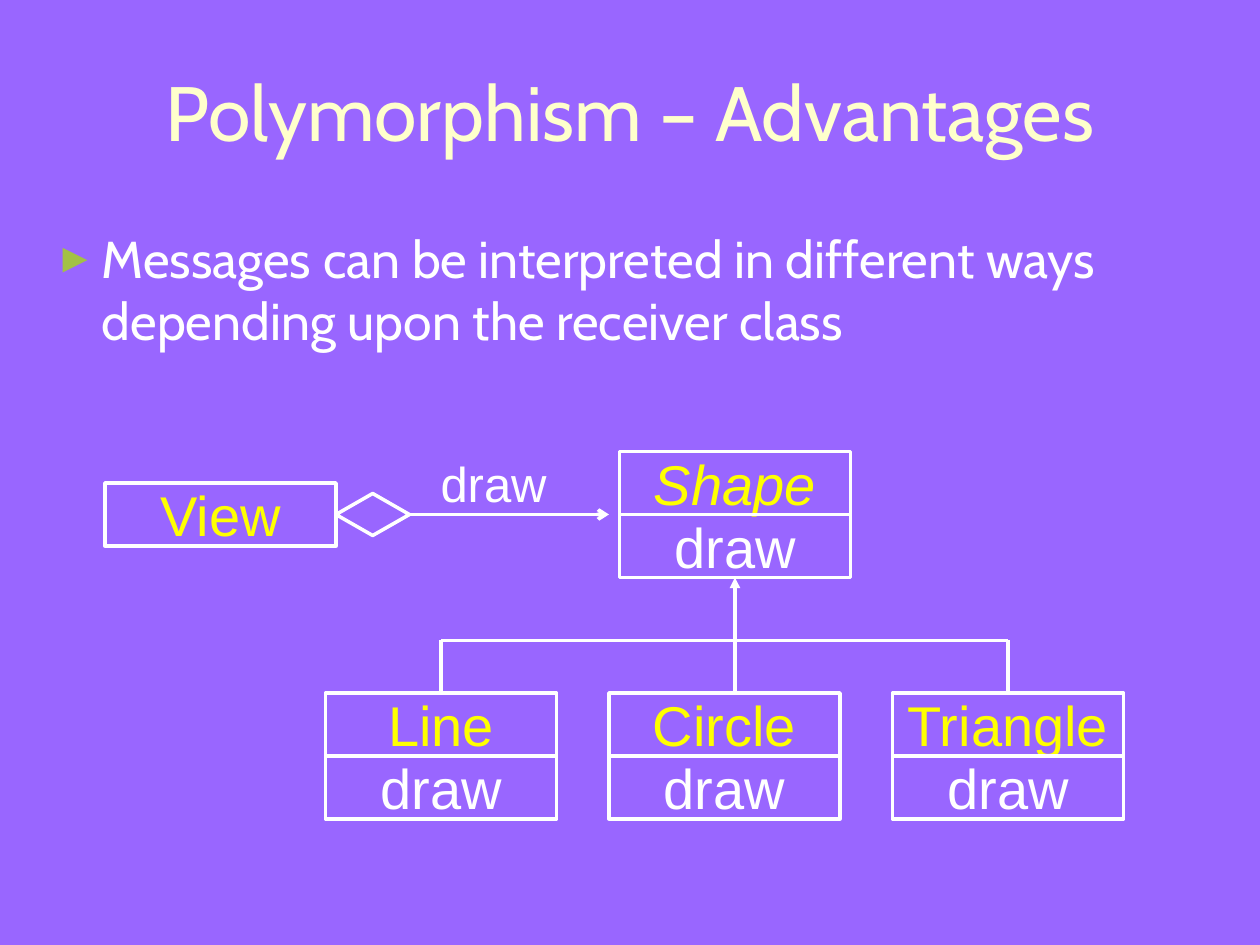
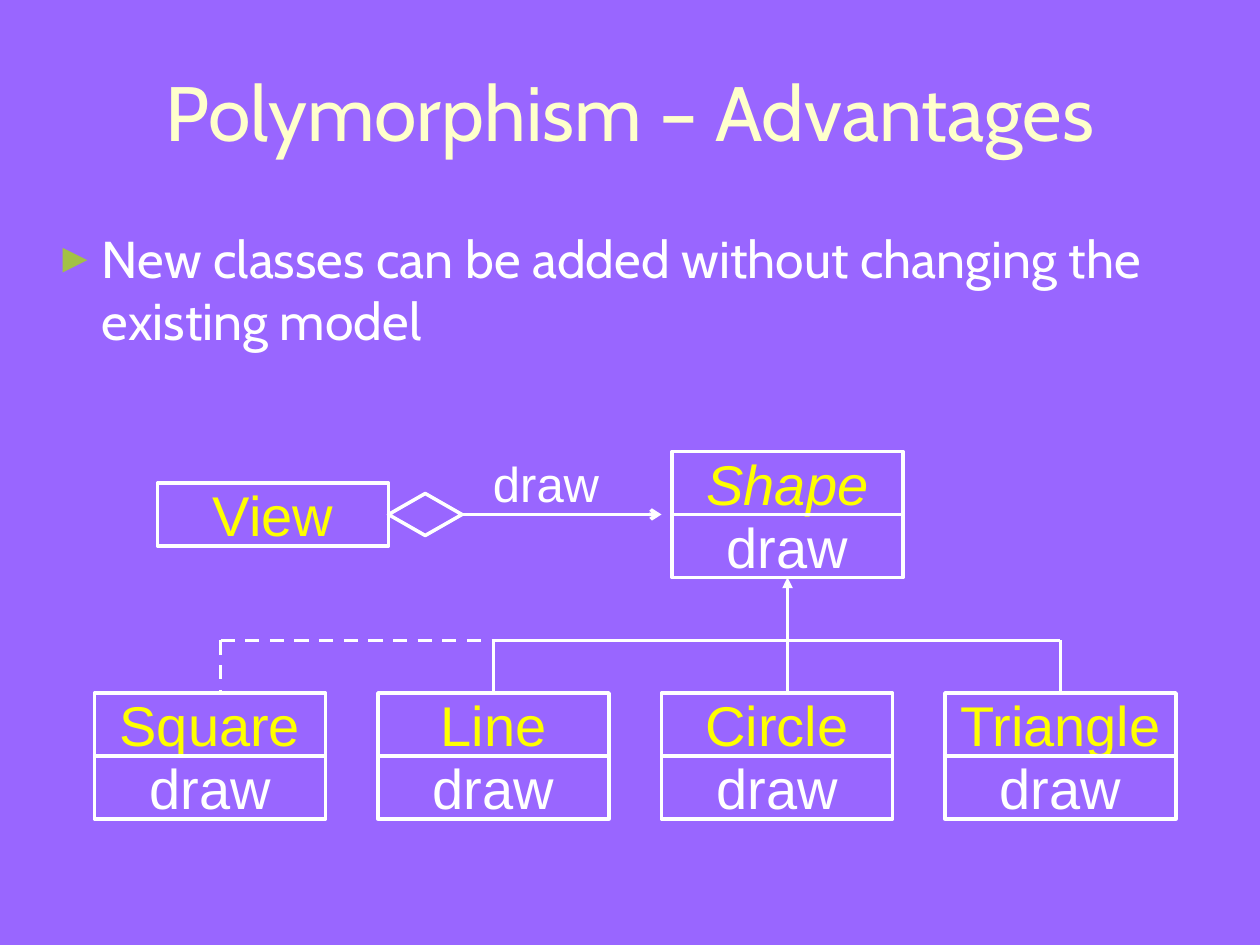
import dataclasses
import typing

import lxml.etree
import pptx
import pptx.dml.color
import pptx.enum.dml
import pptx.enum.shapes
import pptx.enum.text
import pptx.oxml.ns
import pptx.util

Pt = pptx.util.Pt

BACKGROUND = "9966FF"
TITLE_COLOR = "FFFFCC"
WHITE = "FFFFFF"
NAME_COLOR = "FFFF00"
BULLET_COLOR = "A3C145"
HEADING_FONT = "Cabin"
DIAGRAM_FONT = "Arial"

LINE_WIDTH = 2
BOX_WIDTH = 132
BOX_HEIGHT = 36
HALF_BOX = BOX_WIDTH / 2
SUBCLASS_LEFT = 186
SUBCLASS_TOP = 396
SUBCLASS_PITCH = 162
BRANCH_Y = 366
SHAPE_TOP = 258
ASSOCIATION_Y = SHAPE_TOP + BOX_HEIGHT
DIAMOND_LENGTH = 42
DIAMOND_BREADTH = 24


class Point(typing.NamedTuple):
    x: float
    y: float


@dataclasses.dataclass(frozen=True)
class ClassBox:
    name: str
    left: float
    top: float
    operation: str = "draw"
    italic: bool = False


@dataclasses.dataclass(frozen=True)
class DiagramSlide:
    message: str
    shift: float = 0
    added_class: str = ""


SLIDES = [
    DiagramSlide("Messages can be interpreted in different ways depending upon the receiver class"),
    DiagramSlide("New classes can be added without changing the existing model", 30, "Square"),
]


def rgb(color: str) -> pptx.dml.color.RGBColor:
    return pptx.dml.color.RGBColor.from_string(color)


def add_element(parent, tag: str, **attributes: str):
    return lxml.etree.SubElement(parent, pptx.oxml.ns.qn(tag), attributes)


def place(shape, left: float, top: float, width: float, height: float) -> None:
    shape.left, shape.top = Pt(left), Pt(top)
    shape.width, shape.height = Pt(width), Pt(height)


def write(shape, text: str, *, size: float = 32, color: str = WHITE, font: str = DIAGRAM_FONT,
          italic: bool = False, centered: bool = True, middle: bool = True, wrap: bool = False):
    frame = shape.text_frame
    frame.word_wrap = wrap
    frame.auto_size = pptx.enum.text.MSO_AUTO_SIZE.NONE
    anchors = pptx.enum.text.MSO_ANCHOR
    frame.vertical_anchor = anchors.MIDDLE if middle else anchors.TOP
    paragraph = frame.paragraphs[0]
    alignments = pptx.enum.text.PP_ALIGN
    paragraph.alignment = alignments.CENTER if centered else alignments.LEFT
    paragraph.space_before = Pt(0)
    run = paragraph.add_run()
    run.text = text
    run.font.size = Pt(size)
    run.font.name = font
    run.font.italic = italic
    run.font.color.rgb = rgb(color)
    return paragraph


def add_bullet(paragraph) -> None:
    properties = paragraph._p.get_or_add_pPr()
    properties.set("marL", str(Pt(27)))
    properties.set("indent", str(Pt(-27)))
    add_element(add_element(properties, "a:buClr"), "a:srgbClr", val=BULLET_COLOR)
    add_element(properties, "a:buSzPct", val="80000")
    add_element(properties, "a:buFont", typeface=DIAGRAM_FONT)
    add_element(properties, "a:buChar", char="►")


def add_outline(slide, preset, left: float, top: float, width: float, height: float):
    shape = slide.shapes.add_shape(preset, Pt(left), Pt(top), Pt(width), Pt(height))
    shape.shadow.inherit = False
    shape.fill.background()
    shape.line.color.rgb = rgb(WHITE)
    shape.line.width = Pt(LINE_WIDTH)
    return shape


def add_box(slide, text: str, left: float, top: float, **text_format):
    rectangle = pptx.enum.shapes.MSO_SHAPE.RECTANGLE
    box = add_outline(slide, rectangle, left, top, BOX_WIDTH, BOX_HEIGHT)
    write(box, text, **text_format)
    return box


def add_class(slide, box: ClassBox):
    name = add_box(slide, box.name, box.left, box.top, color=NAME_COLOR, italic=box.italic)
    operation = add_box(slide, box.operation, box.left, box.top + BOX_HEIGHT)
    return name, operation


def add_line(slide, start: Point, end: Point, head: str = "", dashed: bool = False):
    line = slide.shapes.add_connector(
        pptx.enum.shapes.MSO_CONNECTOR.STRAIGHT,
        Pt(start.x), Pt(start.y), Pt(end.x), Pt(end.y))
    line.line.color.rgb = rgb(WHITE)
    line.line.width = Pt(LINE_WIDTH)
    if dashed:
        line.line.dash_style = pptx.enum.dml.MSO_LINE.DASH
    properties = line._element.spPr
    if head:
        add_element(properties.find(pptx.oxml.ns.qn("a:ln")), "a:tailEnd", type=head)
    add_element(properties, "a:effectLst")
    return line


def add_stem(slide, x: float, dashed: bool = False):
    return add_line(slide, Point(x, BRANCH_Y), Point(x, SUBCLASS_TOP), dashed=dashed)


def add_association(slide, shift: float) -> None:
    view_left = 60 + shift
    add_box(slide, "View", view_left, ASSOCIATION_Y - BOX_HEIGHT / 2, color=NAME_COLOR)
    diamond_left = view_left + BOX_WIDTH
    diamond = add_outline(
        slide, pptx.enum.shapes.MSO_SHAPE.DIAMOND,
        diamond_left + (DIAMOND_LENGTH - DIAMOND_BREADTH) / 2,
        ASSOCIATION_Y - DIAMOND_LENGTH / 2, DIAMOND_BREADTH, DIAMOND_LENGTH)
    diamond.rotation = 270
    add_line(slide, Point(diamond_left + DIAMOND_LENGTH, ASSOCIATION_Y),
             Point(348 + shift, ASSOCIATION_Y), head="arrow")
    label = slide.shapes.add_textbox(
        Pt(216 + shift), Pt(SHAPE_TOP), Pt(BOX_WIDTH), Pt(BOX_HEIGHT))
    write(label, "draw", size=28)


def add_hierarchy(slide, shift: float, added_class: str) -> None:
    shape_class = ClassBox("Shape", 354 + shift, SHAPE_TOP, italic=True)
    shape_operation = add_class(slide, shape_class)[1]
    trunk_x = shape_class.left + HALF_BOX
    generalization = add_line(slide, Point(trunk_x, BRANCH_Y),
                              Point(trunk_x, SHAPE_TOP + 2 * BOX_HEIGHT), head="triangle")
    generalization.end_connect(shape_operation, 2)

    first_left = SUBCLASS_LEFT + shift
    subclasses = [ClassBox(name, first_left + index * SUBCLASS_PITCH, SUBCLASS_TOP)
                  for index, name in enumerate(["Line", "Circle", "Triangle"])]
    first_x, last_x = (subclasses[index].left + HALF_BOX for index in (0, -1))
    add_line(slide, Point(first_x, BRANCH_Y), Point(last_x, BRANCH_Y))
    for subclass, stem_x in zip(subclasses, (first_x, trunk_x, last_x)):
        name_box = add_class(slide, subclass)[0]
        stem = add_stem(slide, stem_x)
        if stem_x == subclass.left + HALF_BOX:
            stem.end_connect(name_box, 0)

    if added_class:
        add_class(slide, ClassBox(added_class, first_left - SUBCLASS_PITCH, SUBCLASS_TOP))
        added_x = 126
        add_line(slide, Point(added_x, BRANCH_Y), Point(first_x, BRANCH_Y), dashed=True)
        add_stem(slide, added_x, dashed=True)


def add_diagram_slide(presentation, layout, content: DiagramSlide) -> None:
    slide = presentation.slides.add_slide(layout)
    title, body = slide.placeholders
    place(title, 24, 18, 672, 90)
    place(body, 24, 126, 672, 83.5)
    write(title, "Polymorphism – Advantages", size=44, color=TITLE_COLOR,
          font=HEADING_FONT, wrap=True)
    add_bullet(write(body, content.message, size=29.6, font=HEADING_FONT,
                     centered=False, middle=False, wrap=True))
    add_hierarchy(slide, content.shift, content.added_class)
    add_association(slide, content.shift)


def main() -> None:
    presentation = pptx.Presentation()
    presentation.slide_width = Pt(720)
    presentation.slide_height = Pt(540)
    background = presentation.slide_master.background.fill
    background.solid()
    background.fore_color.rgb = rgb(BACKGROUND)
    layout = presentation.slide_layouts.get_by_name("Title and Content")
    for content in SLIDES:
        add_diagram_slide(presentation, layout, content)
    presentation.save("out.pptx")


if __name__ == "__main__":
    main()
